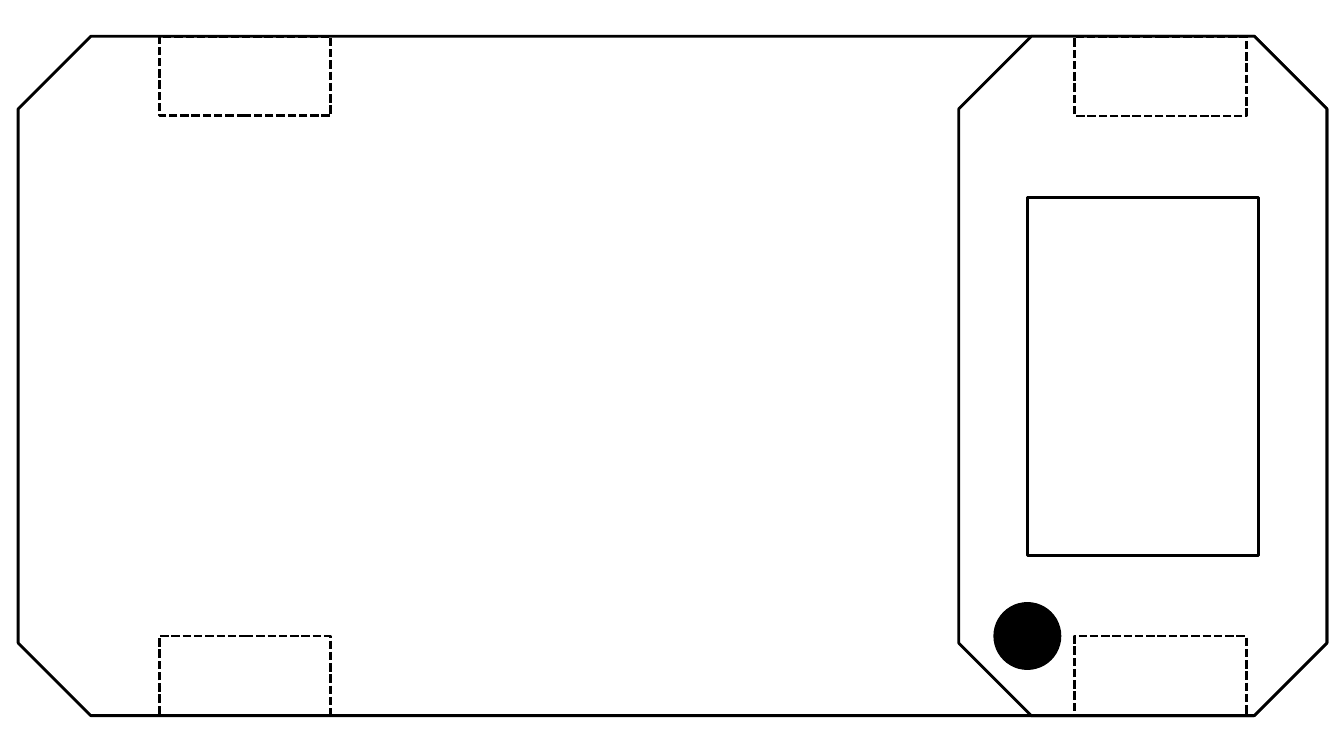
from pptx import Presentation
from pptx.dml.color import RGBColor
from pptx.enum.dml import MSO_LINE
from pptx.enum.shapes import MSO_SHAPE
from pptx.util import Inches, Pt

COLORS = {"paper": "FFFFFF", "ink": "000000"}

prs = Presentation()
prs.slide_width = Inches(13.33)
prs.slide_height = Inches(7.5)
slide = prs.slides.add_slide(prs.slide_layouts[6])
vehicle = slide.shapes.add_group_shape()


def add_part(preset, left, top, width, height, fill=None, line_width=2):
    part = vehicle.shapes.add_shape(
        preset, Inches(left), Inches(top), Inches(width), Inches(height))
    part.shadow.inherit = False
    if fill:
        part.fill.solid()
        part.fill.fore_color.rgb = RGBColor.from_string(COLORS[fill])
    else:
        part.fill.background()
    part.line.color.rgb = RGBColor.from_string(COLORS["ink"])
    part.line.width = Pt(line_width)
    return part


body_top, body_height = 0.36, 6.74

# Body and cab share their height and right edge
for left, width, corner in [(0.18, 12.98, 0.107), (9.51, 3.65, 0.197)]:
    hull = add_part(MSO_SHAPE.OCTAGON, left, body_top, width, body_height, "paper")
    hull.adjustments[0] = corner

add_part(MSO_SHAPE.RECTANGLE, 10.19, 1.96, 2.29, 3.55, "paper")
add_part(MSO_SHAPE.OVAL, 9.86, 5.98, 0.66, 0.66, "ink", line_width=1)

# Wheels sit inside the top and bottom edges of the body
wheel_width, wheel_height = 1.7, 0.79
wheel_tops = [body_top, body_top + body_height - wheel_height]
for row, wheel_top in enumerate(wheel_tops):
    for column, wheel_left in enumerate([1.58, 10.66]):
        wheel = add_part(MSO_SHAPE.RECTANGLE, wheel_left, wheel_top,
                         wheel_width, wheel_height)
        wheel.line.dash_style = MSO_LINE.SQUARE_DOT
        wheel.rotation = 180 if row != column else 0

prs.save("out.pptx")
